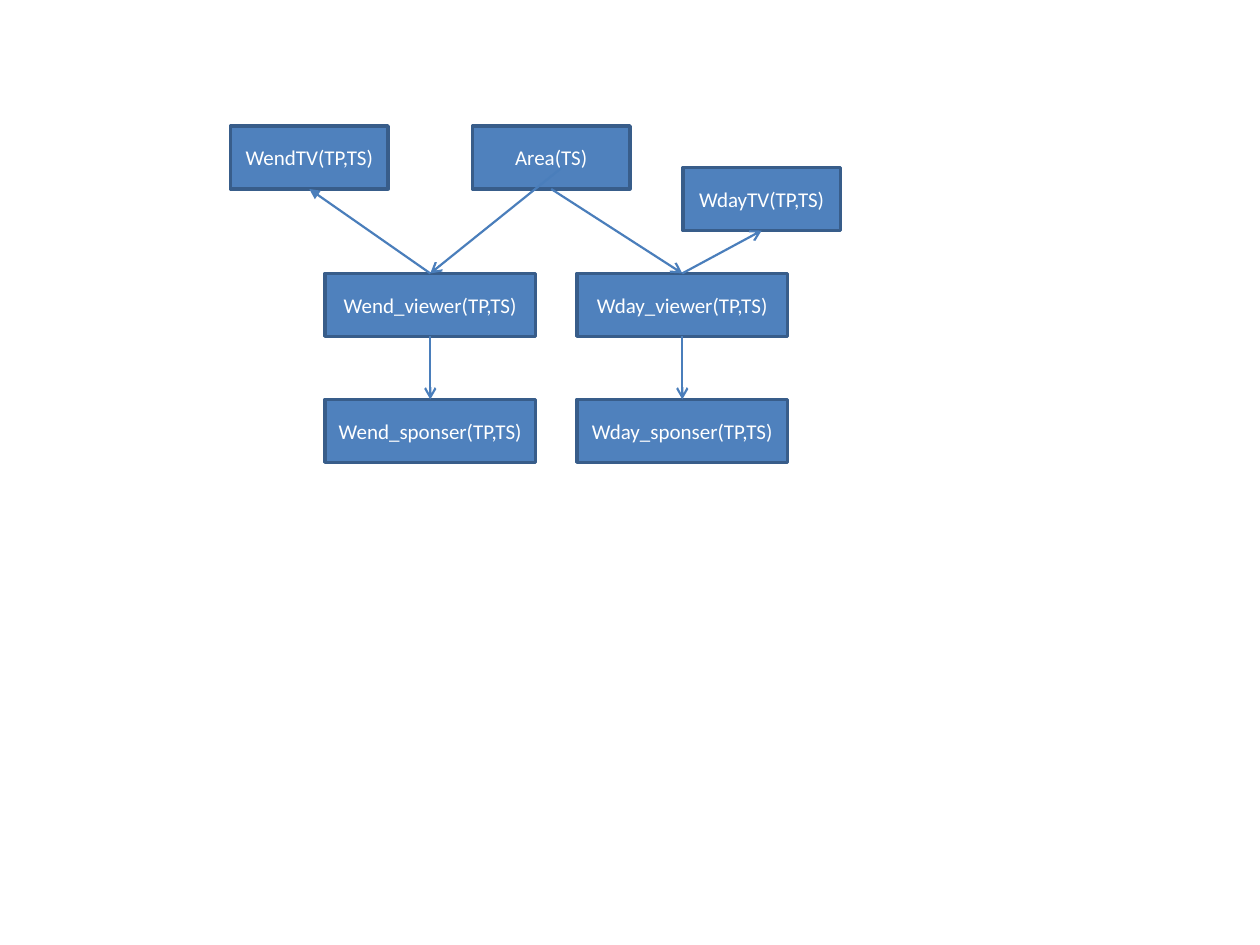
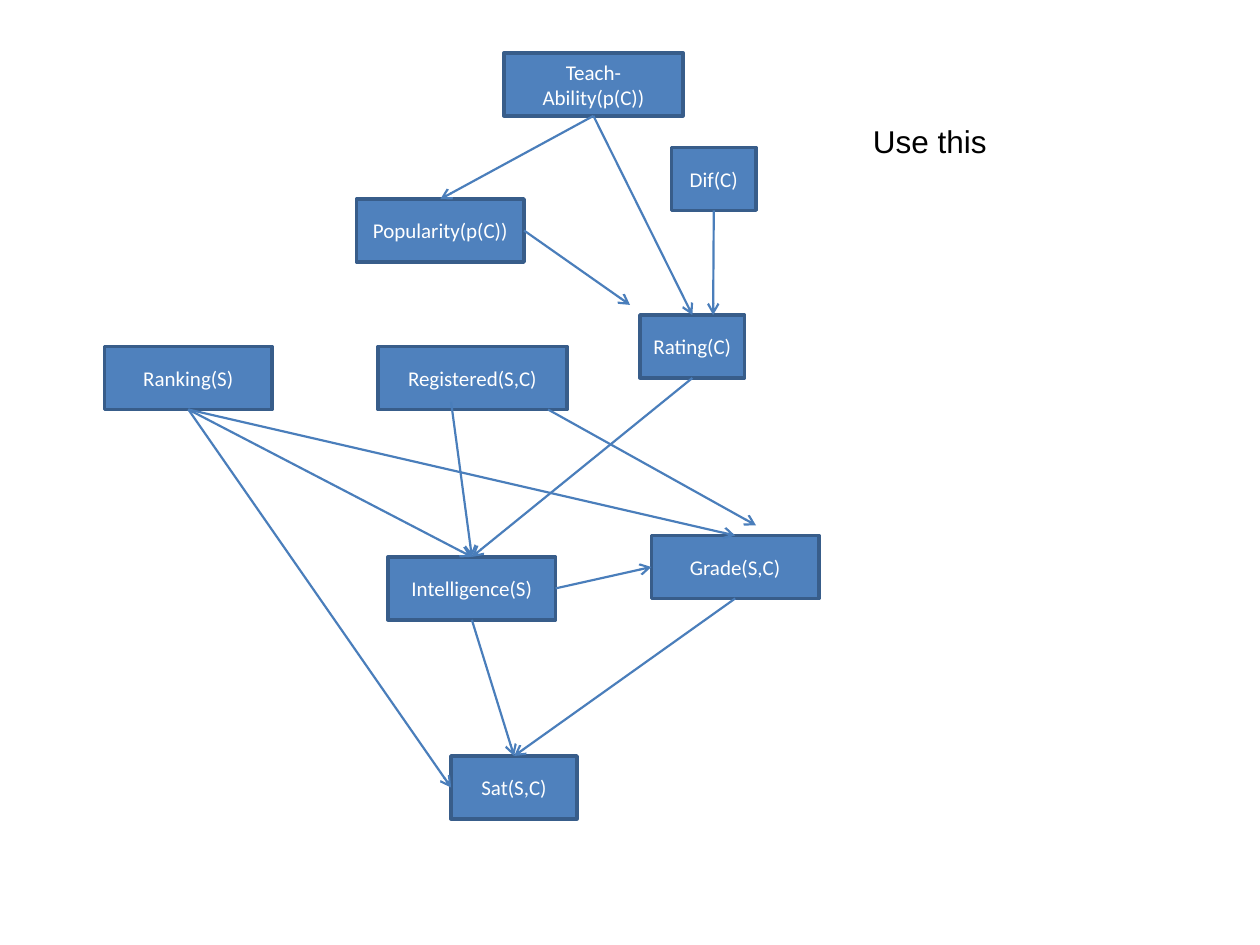
from dataclasses import dataclass
from typing import Union

from lxml import etree
from pptx import Presentation
from pptx.dml.color import RGBColor
from pptx.enum.shapes import MSO_CONNECTOR as CONN, MSO_SHAPE as SHAPE
from pptx.enum.text import MSO_ANCHOR as ANCHOR, PP_ALIGN as ALIGN
from pptx.oxml.ns import qn
from pptx.util import Inches, Pt

COLORS = {
    "box": "4F81BD",
    "border": "385D8A",
    "arrow": "4A7EBB",
    "light": "FFFFFF",
    "dark": "000000",
}
BOX_HEIGHT = 0.5
# Connection sites of a rectangle
TOP, LEFT, BOTTOM, RIGHT = range(4)


@dataclass(frozen=True)
class Box:
    text: str
    x: float
    y: float
    w: float


# An arrow end is a box side (text, site) or a free point (x, y)
@dataclass(frozen=True)
class Side:
    text: str
    site: int


@dataclass(frozen=True)
class Point:
    x: float
    y: float


End = Union[Side, Point]


@dataclass(frozen=True)
class Arrow:
    start: End
    end: End
    head: str = "arrow"


def rgb(name: str) -> RGBColor:
    return RGBColor.from_string(COLORS[name])


def write(sp, text: str, *, size: float, font: str, color: str,
          align=ALIGN.LEFT, anchor=ANCHOR.TOP) -> None:
    tf = sp.text_frame
    tf.word_wrap = True
    tf.vertical_anchor = anchor
    p = tf.paragraphs[0]
    p.alignment = align
    r = p.add_run()
    r.text = text
    r.font.size = Pt(size)
    r.font.name = font
    r.font.color.rgb = rgb(color)


def add_box(s, box: Box):
    sp = s.shapes.add_shape(SHAPE.RECTANGLE, Inches(box.x), Inches(box.y),
                            Inches(box.w), Inches(BOX_HEIGHT))
    sp.shadow.inherit = False
    sp.fill.solid()
    sp.fill.fore_color.rgb = rgb("box")
    sp.line.color.rgb = rgb("border")
    sp.line.width = Pt(2)
    write(sp, box.text, size=12, font="Calibri", color="light",
          align=ALIGN.CENTER, anchor=ANCHOR.MIDDLE)
    return sp


def add_arrow(s, arrow: Arrow, nodes: dict) -> None:
    ends = [(Inches(e.x), Inches(e.y)) if isinstance(e, Point) else (0, 0)
            for e in (arrow.start, arrow.end)]
    cx = s.shapes.add_connector(CONN.STRAIGHT, *ends[0], *ends[1])
    # Glue the ends that sit on a box
    for end, connect in ((arrow.start, cx.begin_connect),
                         (arrow.end, cx.end_connect)):
        if isinstance(end, Side):
            connect(nodes[end.text], end.site)
    cx.line.color.rgb = rgb("arrow")
    cx.line.width = Pt(1.25)
    ln = cx.line._get_or_add_ln()
    etree.SubElement(ln, qn("a:tailEnd"), type=arrow.head)
    etree.SubElement(cx._element.spPr, qn("a:effectLst"))


def add_diagram(prs, boxes: list[Box], arrows: list[Arrow]):
    s = prs.slides.add_slide(prs.slide_layouts[6])
    nodes = {box.text: add_box(s, box) for box in boxes}
    for arrow in arrows:
        add_arrow(s, arrow, nodes)
    return s


prs = Presentation()
prs.slide_width, prs.slide_height = Inches(10), Inches(7.5)

# Slide 1: television viewing, one column per part of the week
tv_boxes = [
    Box("WdayTV(TP,TS)", 5.42, 1.33, 1.25),
    Box("WendTV(TP,TS)", 1.83, 1, 1.25),
    Box("Area(TS)", 3.75, 1, 1.25),
]
tv_arrows = [
    Arrow(Side("Wend_viewer(TP,TS)", TOP), Side("WendTV(TP,TS)", BOTTOM),
          "triangle"),
    Arrow(Side("Wday_viewer(TP,TS)", TOP), Side("WdayTV(TP,TS)", BOTTOM)),
    Arrow(Point(4.46, 1.33), Side("Wend_viewer(TP,TS)", TOP)),
    Arrow(Side("Area(TS)", BOTTOM), Side("Wday_viewer(TP,TS)", TOP)),
]
for part, x in (("Wend", 2.58), ("Wday", 4.58)):
    viewer, sponsor = f"{part}_viewer(TP,TS)", f"{part}_sponser(TP,TS)"
    tv_boxes += [Box(viewer, x, 2.17, 1.67), Box(sponsor, x, 3.17, 1.67)]
    tv_arrows.append(Arrow(Side(viewer, BOTTOM), Side(sponsor, TOP)))
add_diagram(prs, tv_boxes, tv_arrows)

# Slide 2: students, courses and professors
TEACH, POPULAR, DIF = "Teach-Ability(p(C))", "Popularity(p(C))", "Dif(C)"
RATING, RANKING, REG = "Rating(C)", "Ranking(S)", "Registered(S,C)"
INTEL, GRADE, SAT = "Intelligence(S)", "Grade(S,C)", "Sat(S,C)"
course_boxes = [
    Box(POPULAR, 2.83, 1.58, 1.33),
    Box(TEACH, 4, 0.42, 1.42),
    Box(DIF, 5.33, 1.17, 0.67),
    Box(RATING, 5.08, 2.5, 0.83),
    Box(INTEL, 3.08, 4.42, 1.33),
    Box(RANKING, 0.83, 2.75, 1.33),
    Box(GRADE, 5.17, 4.25, 1.33),
    Box(SAT, 3.58, 6, 1),
    Box(REG, 3, 2.75, 1.5),
]
course_arrows = [
    Arrow(Side(TEACH, BOTTOM), Side(POPULAR, TOP)),
    Arrow(Side(TEACH, BOTTOM), Side(RATING, TOP)),
    Arrow(Side(DIF, BOTTOM), Point(5.66, 2.5)),
    Arrow(Side(POPULAR, RIGHT), Point(5, 2.42)),
    Arrow(Side(RATING, BOTTOM), Side(INTEL, TOP)),
    Arrow(Side(RANKING, BOTTOM), Side(INTEL, TOP)),
    Arrow(Side(INTEL, RIGHT), Side(GRADE, LEFT)),
    Arrow(Side(RANKING, BOTTOM), Side(GRADE, TOP)),
    Arrow(Side(INTEL, BOTTOM), Side(SAT, TOP)),
    Arrow(Side(GRADE, BOTTOM), Side(SAT, TOP)),
    Arrow(Side(RANKING, BOTTOM), Side(SAT, LEFT)),
    Arrow(Point(4.35, 3.25), Point(6, 4.17)),
    Arrow(Point(3.58, 3.19), Side(INTEL, TOP)),
]
s = add_diagram(prs, course_boxes, course_arrows)
note = s.shapes.add_textbox(Inches(6.83), Inches(0.92), Inches(2.42), Inches(0.4))
write(note, "Use this", size=18, font="Arial", color="dark")

prs.save("out.pptx")
